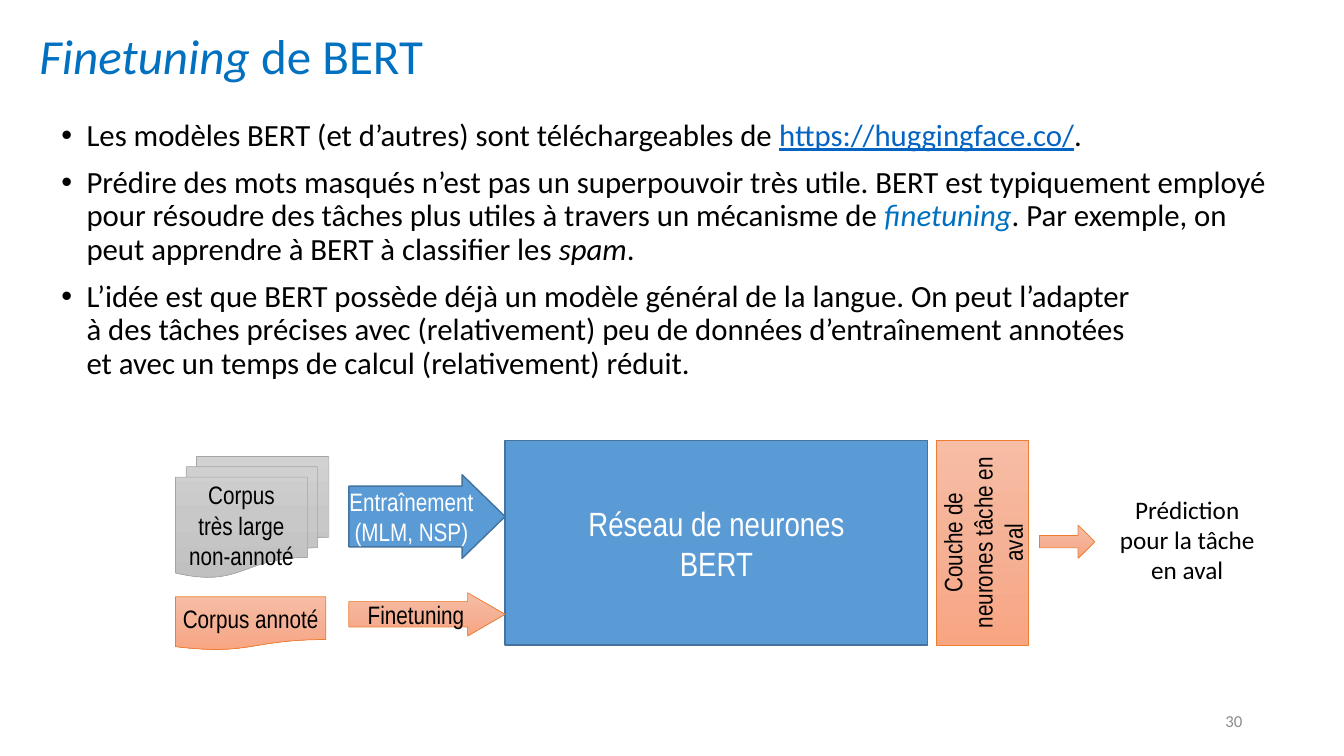
from copy import deepcopy

from lxml import etree
from pptx import Presentation
from pptx.dml.color import RGBColor
from pptx.enum.shapes import MSO_SHAPE
from pptx.enum.text import MSO_ANCHOR, MSO_AUTO_SIZE, PP_ALIGN
from pptx.oxml.ns import qn
from pptx.util import Inches, Pt

RECTANGLE = MSO_SHAPE.RECTANGLE
RIGHT_ARROW = MSO_SHAPE.RIGHT_ARROW
DOCUMENT = MSO_SHAPE.FLOWCHART_DOCUMENT
MULTIDOCUMENT = MSO_SHAPE.FLOWCHART_MULTIDOCUMENT
LEFT, CENTER, RIGHT = PP_ALIGN.LEFT, PP_ALIGN.CENTER, PP_ALIGN.RIGHT
TOP, MIDDLE = MSO_ANCHOR.TOP, MSO_ANCHOR.MIDDLE
NO_AUTOFIT = MSO_AUTO_SIZE.NONE

BLACK = RGBColor(0x00, 0x00, 0x00)
WHITE = RGBColor(0xFF, 0xFF, 0xFF)
ACCENT = RGBColor(0x00, 0x70, 0xC0)
LINK = RGBColor(0x05, 0x63, 0xC1)
PAGE_GRAY = RGBColor(0x8C, 0x8C, 0x8C)
BLUE = RGBColor(0x5B, 0x9B, 0xD5)
BLUE_LINE = RGBColor(0x43, 0x73, 0x9E)
ORANGE_LINE = RGBColor(0xED, 0x7D, 0x31)
GRAY_LINE = RGBColor(0xA5, 0xA5, 0xA5)
ORANGES = (RGBColor(0xF7, 0xBD, 0xA5), RGBColor(0xF5, 0xB1, 0x96), RGBColor(0xF8, 0xA5, 0x82))
GRAYS = (RGBColor(0xD2, 0xD2, 0xD2), RGBColor(0xC8, 0xC8, 0xC8), RGBColor(0xC0, 0xC0, 0xC0))

# Shape styles: fill (one colour or gradient stops), line colour, line width, text colour
BLUE_STYLE = (BLUE, BLUE_LINE, 1, WHITE)
ORANGE_STYLE = (ORANGES, ORANGE_LINE, 0.5, BLACK)
GRAY_STYLE = (GRAYS, GRAY_LINE, 0.5, BLACK)

BODY_FONT = "Calibri"
DIAGRAM_FONT = "Arial Narrow"

TITLE = [("Finetuning", {"italic": True}), (" de BERT", {})]
BULLETS = [
    [("Les modèles BERT (et d’autres) sont téléchargeables de ", {}),
     ("https://huggingface.co/", {"color": LINK, "underline": True}),
     (".", {})],
    [("Prédire des mots masqués n’est pas un superpouvoir très utile. BERT est typiquement "
      "employé pour résoudre des tâches plus utiles à travers un mécanisme de ", {}),
     ("finetuning", {"color": ACCENT, "italic": True}),
     (". Par exemple, on peut apprendre à BERT à classifier les ", {}),
     ("spam", {"italic": True}),
     (".", {})],
    [("L’idée est que BERT possède déjà un modèle général de la langue. On peut l’adapter\n"
      "à des tâches précises avec (relativement) peu de données d’entraînement annotées\n"
      "et avec un temps de calcul (relativement) réduit.", {})],
]


def add_bullet(paragraph):
    properties = paragraph._p.get_or_add_pPr()
    properties.set("marL", str(Inches(0.25)))
    properties.set("indent", str(Inches(-0.25)))
    etree.SubElement(properties, qn("a:buFont"), typeface="Arial")
    etree.SubElement(properties, qn("a:buChar"), char="•")


def write_text(frame, paragraphs, size, color, font=BODY_FONT, align=LEFT, anchor=TOP,
               spacing=None, space_before=0, bullets=False):
    """Fill a text frame with paragraphs, each a list of (text, format) pieces."""
    frame.word_wrap = True
    frame.auto_size = NO_AUTOFIT
    frame.vertical_anchor = anchor
    for index, pieces in enumerate(paragraphs):
        paragraph = frame.add_paragraph() if index else frame.paragraphs[0]
        if bullets:
            add_bullet(paragraph)
        paragraph.alignment = align
        paragraph.line_spacing = spacing
        paragraph.space_before = Pt(space_before if index else 0)
        for text, style in pieces:
            for number, line in enumerate(text.split("\n")):
                if number:
                    paragraph.add_line_break()
                run = paragraph.add_run()
                run.text = line
                run.font.name = font
                run.font.size = Pt(size)
                run.font.color.rgb = style.get("color", color)
                run.font.italic = style.get("italic", False)
                run.font.underline = style.get("underline", False)


def add_text(slide, box, paragraphs, **text_format):
    textbox = slide.shapes.add_textbox(*map(Inches, box))
    write_text(textbox.text_frame, paragraphs, **text_format)


def fill_gradient(fill, colors):
    """Fill from top to bottom with three evenly spaced colours."""
    fill.gradient()
    fill.gradient_angle = 270
    first_stop = fill.gradient_stops[0]._gs
    first_stop.addnext(deepcopy(first_stop))
    for index, (stop, color) in enumerate(zip(fill.gradient_stops, colors)):
        stop.position = index / 2
        stop.color.rgb = color


def add_block(slide, kind, box, style, text="", size=18, adjustments=(),
              side_inset=0.0, vertical=False):
    fill, line_color, line_width, text_color = style
    block = slide.shapes.add_shape(kind, *map(Inches, box))
    block.shadow.inherit = False
    for index, value in enumerate(adjustments):
        block.adjustments[index] = value
    if fill is BLUE:
        block.fill.solid()
        block.fill.fore_color.rgb = fill
    else:
        fill_gradient(block.fill, fill)
    block.line.color.rgb = line_color
    block.line.width = Pt(line_width)
    if text:
        frame = block.text_frame
        frame.margin_left = frame.margin_right = Inches(side_inset)
        write_text(frame, [[(text, {})]], size=size, color=text_color, font=DIAGRAM_FONT,
                   align=CENTER, anchor=MIDDLE)
        if vertical:
            frame._txBody.bodyPr.set("vert", "vert270")


def add_title(slide):
    title = slide.shapes.title
    title.left, title.top, title.width, title.height = map(Inches, (0.29, 0.21, 12.79, 0.74))
    write_text(title.text_frame, [TITLE], size=35, color=ACCENT, anchor=MIDDLE, spacing=0.9)


def add_diagram(slide):
    # Network and its task layer
    add_block(slide, RECTANGLE, (5.01, 4.37, 4.19, 2.03), BLUE_STYLE,
              "Réseau de neurones\nBERT", size=24, side_inset=0.1)
    add_block(slide, RECTANGLE, (9.29, 4.37, 0.91, 2.03), ORANGE_STYLE,
              "Couche de neurones tâche en aval", side_inset=0.1, vertical=True)
    # Pretraining
    add_block(slide, RIGHT_ARROW, (3.46, 4.71, 1.55, 0.83), BLUE_STYLE,
              "Entraînement\n(MLM, NSP)", adjustments=(0.725, 0.514))
    add_block(slide, MULTIDOCUMENT, (1.74, 4.53, 1.52, 1.2), GRAY_STYLE,
              "Corpus\ntrès large non-annoté")
    # Finetuning
    add_block(slide, RIGHT_ARROW, (3.46, 5.88, 1.55, 0.43), ORANGE_STYLE,
              "Finetuning", adjustments=(0.585, 0.865))
    add_block(slide, DOCUMENT, (1.74, 5.92, 1.49, 0.53), ORANGE_STYLE, "Corpus annoté")
    # Prediction
    add_block(slide, RIGHT_ARROW, (10.31, 5.21, 0.55, 0.33), ORANGE_STYLE,
              adjustments=(0.37, 0.508))
    add_text(slide, (10.95, 4.85, 1.65, 1.01),
             [[("Prédiction\npour la tâche\nen aval", {})]],
             size=18, color=BLACK, align=CENTER)


def main():
    presentation = Presentation()
    presentation.slide_width = Inches(13.33)
    presentation.slide_height = Inches(7.5)
    slide = presentation.slides.add_slide(presentation.slide_layouts[5])

    add_title(slide)
    add_text(slide, (0.51, 1.14, 12.35, 2.81), BULLETS, size=22, color=BLACK,
             spacing=0.9, space_before=10, bullets=True)
    # Page number
    add_text(slide, (9.42, 6.95, 3, 0.4), [[("30", {})]], size=12, color=PAGE_GRAY,
             align=RIGHT, anchor=MIDDLE)
    add_diagram(slide)

    presentation.save("out.pptx")


if __name__ == "__main__":
    main()
